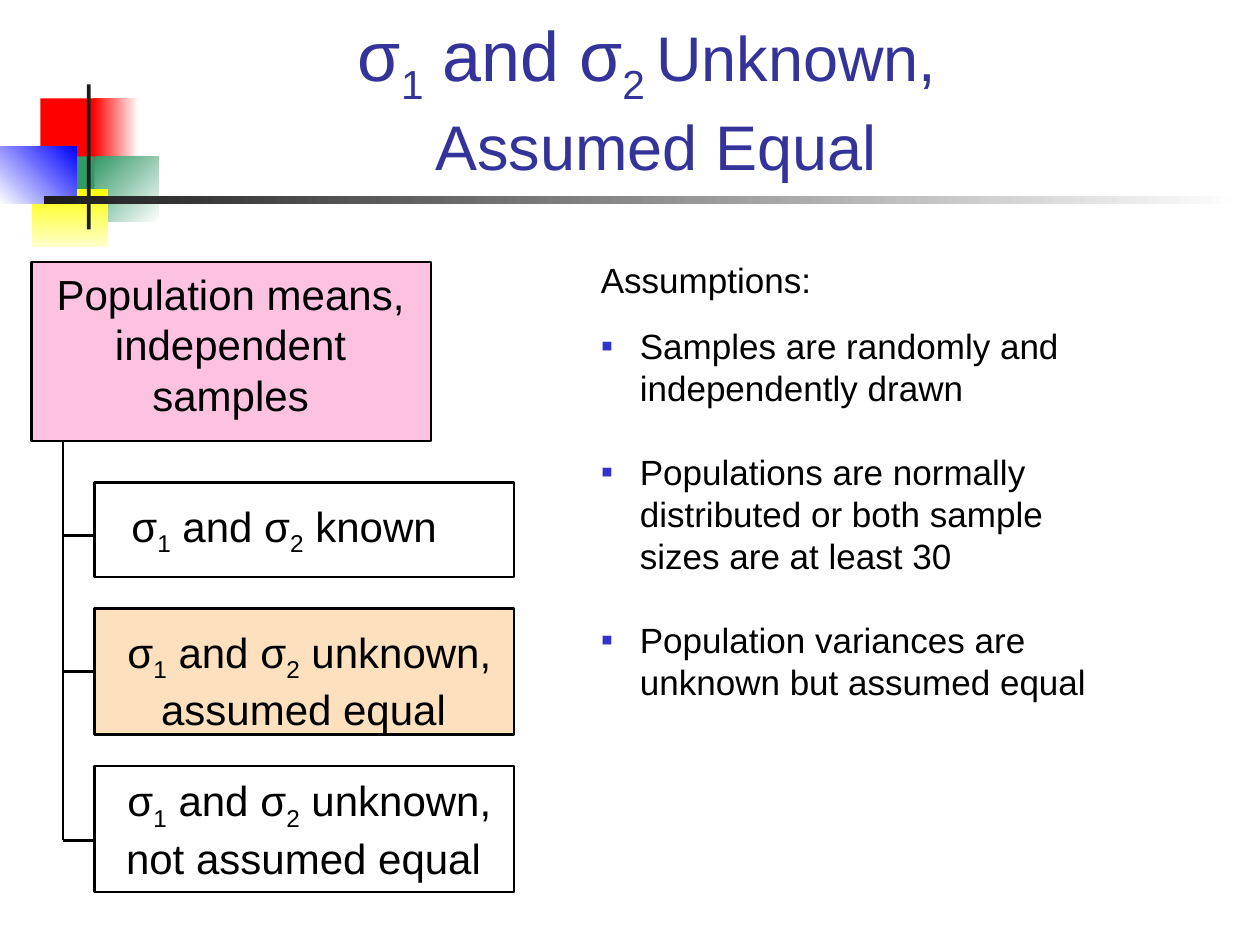
from lxml.etree import SubElement
from pptx import Presentation
from pptx.dml.color import RGBColor
from pptx.enum.shapes import MSO_CONNECTOR, MSO_SHAPE
from pptx.enum.text import MSO_ANCHOR, PP_ALIGN
from pptx.oxml.ns import qn
from pptx.util import Inches, Pt

FONT = "Arial"
BLACK, TITLE_BLUE, BULLET_BLUE = "000000", "333399", "3333CC"

# Between bars, every second part is a subscript.
TITLE = ["σ|1| and σ|2 |", "Unknown, ", "Assumed Equal"]

# (left, top, width, height), colours, clockwise gradient angle
ORNAMENT = [
    ((0.32, 0.78, 0.48, 0.52), ["FF0000"], 0),
    ((0.74, 0.78, 0.36, 0.52), ["FF0000", "FFFFFF"], 0),
    ((0.75, 1.24, 0.51, 0.52), ["339966", "FFFFFF"], 45),
    ((0.43, 1.24, 0.32, 0.52), ["339966"], 0),
    ((0.25, 1.5, 0.61, 0.46), ["FFFF00", "FFFFCC"], 90),
    ((0, 1.16, 0.61, 0.46), ["FFFFFF", "0000FF"], 315),
    ((0.69, 0.67, 0.03, 1.15), ["1C1C1C"], 0),
    ((0.35, 1.56, 9.51, 0.06), ["1C1C1C", "FFFFFF"], 0),
]

# Box, fill, label area, label
ROOT = ((0.25, 2.08, 3.17, 1.42), ["FCC2E0"],
        (0.33, 2.08, 3, 1.3), "Population means, independent samples")
CASES = [
    ((0.75, 3.83, 3.33, 0.75), [],
     (0.92, 3.92, 2.67, 0.53), "σ|1| and σ|2| known"),
    ((0.75, 4.83, 3.33, 1), ["FDE0BD"],
     (0.83, 4.92, 3.25, 0.93), "σ|1| and σ|2| unknown, assumed equal "),
    ((0.75, 6.08, 3.33, 1), [],
     (0.83, 6.1, 3.25, 0.93), "σ|1| and σ|2| unknown, not assumed equal "),
]
TRUNK_X = 0.5
BRANCH_YS = [4.25, 5.33, 6.67]

ASSUMPTIONS_HEAD = "Assumptions:"
# Text, space before in points
ASSUMPTIONS = [
    ("Samples are randomly and independently drawn", 14),
    ("Populations are normally distributed or both sample sizes are at least 30", 24),
    ("Population variances are unknown but assumed equal", 24),
]
BULLET_INDENT = 0.31


def color(hex_code):
    return RGBColor.from_string(hex_code)


def inches(values):
    return [Inches(value) for value in values]


def add_box(slide, area, colors, angle=0, outlined=False):
    """Add a rectangle: no colour is hollow, one is solid, two are a gradient."""
    box = slide.shapes.add_shape(MSO_SHAPE.RECTANGLE, *inches(area))
    box.shadow.inherit = False
    if len(colors) == 2:
        box.fill.gradient()
        box.fill.gradient_angle = (360 - angle) % 360
        for stop, hex_code in zip(box.fill.gradient_stops, colors):
            stop.color.rgb = color(hex_code)
    elif colors:
        box.fill.solid()
        box.fill.fore_color.rgb = color(colors[0])
    else:
        box.fill.background()
    if outlined:
        box.line.color.rgb = color(BLACK)
        box.line.width = Pt(1.5)
    else:
        box.line.fill.background()


def add_line(slide, start, end):
    line = slide.shapes.add_connector(MSO_CONNECTOR.STRAIGHT, *inches(start + end))
    line.line.color.rgb = color(BLACK)
    line.line.width = Pt(1.5)
    SubElement(line._element.spPr, qn("a:effectLst"))


def add_runs(paragraph, marked_text, size, hex_code=BLACK):
    """Add text in which every second part between bars is a subscript."""
    for index, part in enumerate(marked_text.split("|")):
        if not part:
            continue
        run = paragraph.add_run()
        run.text = part
        run.font.name = FONT
        run.font.size = Pt(size)
        run.font.color.rgb = color(hex_code)
        if index % 2:
            run._r.get_or_add_rPr().set("baseline", "-25000")


def add_text_frame(slide, area):
    frame = slide.shapes.add_textbox(*inches(area)).text_frame
    frame.word_wrap = True
    return frame


def add_bullet(paragraph):
    props = paragraph._p.get_or_add_pPr()
    props.set("marL", str(Inches(BULLET_INDENT)))
    props.set("indent", str(-Inches(BULLET_INDENT)))
    bullet_color = SubElement(props, qn("a:buClr"))
    SubElement(bullet_color, qn("a:srgbClr"), val=BULLET_BLUE)
    SubElement(props, qn("a:buFont"), typeface=FONT)
    SubElement(props, qn("a:buChar"), char="▪")


def add_title(slide):
    title = slide.shapes.title
    title.left, title.top, title.width, title.height = inches((1.25, 0.17, 7.91, 1.33))
    title.text_frame.vertical_anchor = MSO_ANCHOR.BOTTOM
    paragraph = title.text_frame.paragraphs[0]
    paragraph.alignment = PP_ALIGN.CENTER
    symbols, first_line, second_line = TITLE
    add_runs(paragraph, symbols, 40, TITLE_BLUE)
    add_runs(paragraph, first_line, 36, TITLE_BLUE)
    paragraph.add_line_break()
    add_runs(paragraph, second_line, 36, TITLE_BLUE)


def add_tree(slide):
    for area, colors, label_area, label in [ROOT] + CASES:
        add_box(slide, area, colors, outlined=True)
        paragraph = add_text_frame(slide, label_area).paragraphs[0]
        paragraph.alignment = PP_ALIGN.CENTER
        add_runs(paragraph, label, 24)
    root_bottom = ROOT[0][1] + ROOT[0][3]
    add_line(slide, (TRUNK_X, root_bottom), (TRUNK_X, BRANCH_YS[-1]))
    for (area, *_), y in zip(CASES, BRANCH_YS):
        add_line(slide, (TRUNK_X, y), (area[0], y))


def add_assumptions(slide):
    frame = add_text_frame(slide, (4.67, 2, 4.83, 3.93))
    frame.margin_right = Inches(0.7)
    add_runs(frame.paragraphs[0], ASSUMPTIONS_HEAD, 20)
    for assumption, space in ASSUMPTIONS:
        paragraph = frame.add_paragraph()
        paragraph.space_before = Pt(space)
        add_bullet(paragraph)
        add_runs(paragraph, assumption, 20)


def main():
    deck = Presentation()
    deck.slide_width, deck.slide_height = Inches(10), Inches(7.5)
    slide = deck.slides.add_slide(deck.slide_layouts[5])
    for area, colors, angle in ORNAMENT:
        add_box(slide, area, colors, angle)
    add_title(slide)
    add_tree(slide)
    add_assumptions(slide)
    deck.save("out.pptx")


if __name__ == "__main__":
    main()
